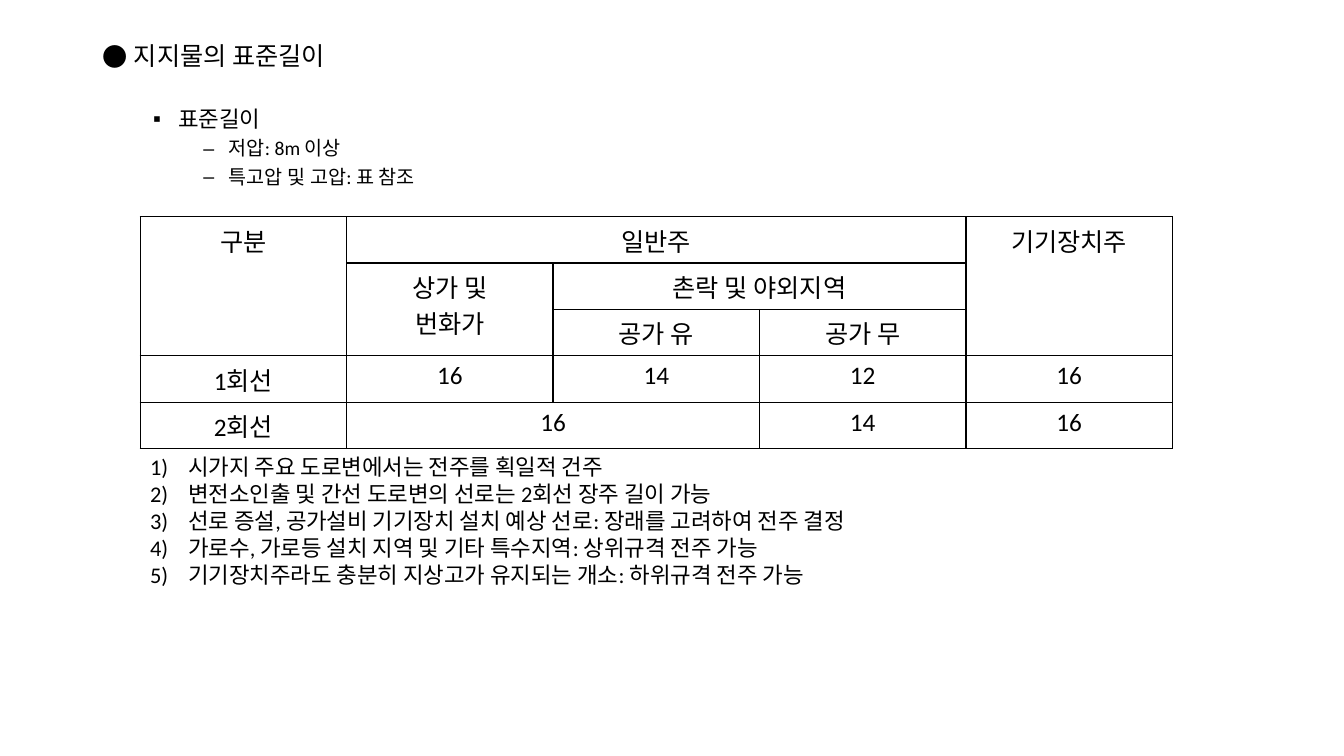
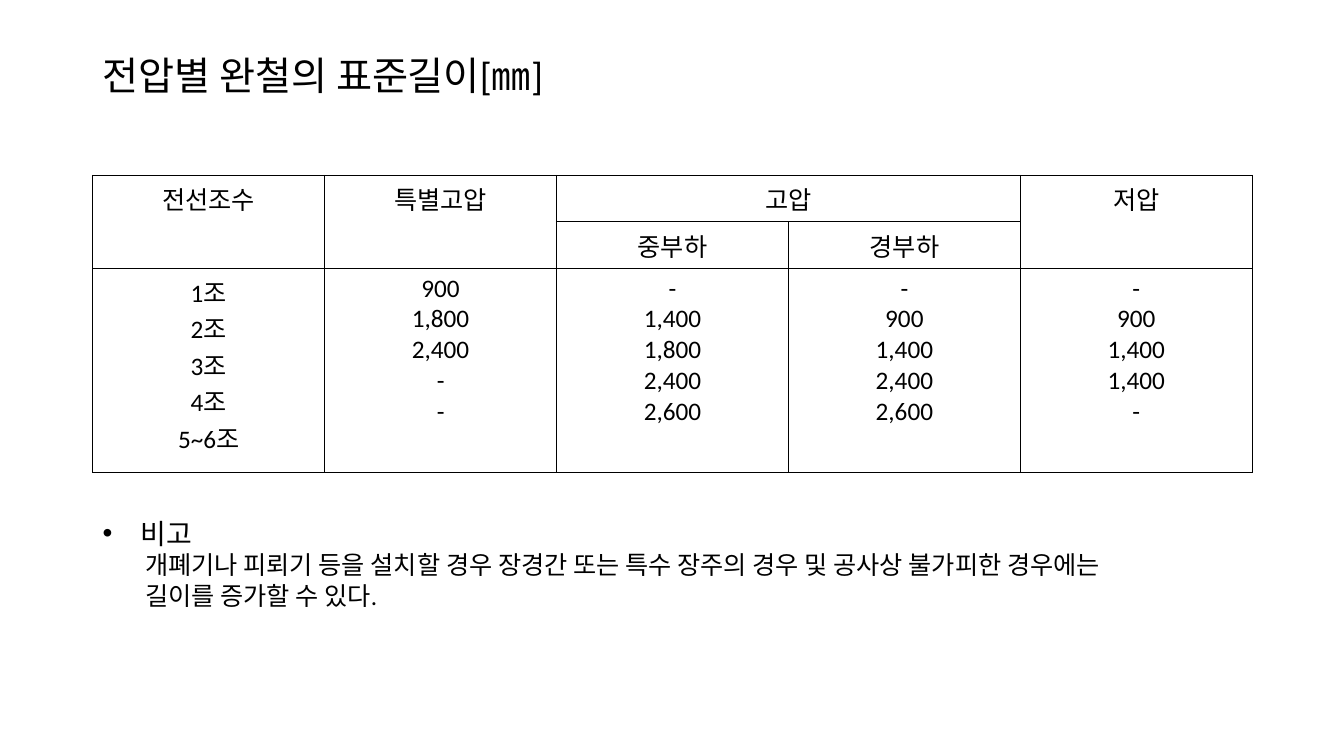
from lxml import etree
from pptx import Presentation
from pptx.dml.color import RGBColor
from pptx.enum import text
from pptx.oxml import ns
from pptx.util import Inches, Pt

COLORS = {"ink": "000000", "border": "000000"}
LATIN, KOREAN = "Calibri", "Noto Sans CJK KR"
LEFT, CONTENT_WIDTH = 0.92, 11.5
HEADER_ROW = 0.46

STYLES = {
    "title": {"size": 28, "line_spacing": 0.9},
    "heading": {"size": 18, "left": 0.31, "hang": 0.31, "bullet": "●",
                "bullet_font": KOREAN},
    "topic": {"size": 16, "left": 0.75, "hang": 0.25, "bullet": "▪",
              "bullet_font": "Arial", "line_spacing": 0.9},
    "detail": {"size": 14, "left": 1.25, "hang": 0.25, "bullet": "–",
               "bullet_font": "Arial", "line_spacing": 0.9, "space_before": 5},
    "numbered": {"size": 16, "left": 0.38, "hang": 0.38, "number": "arabicParenR",
                 "bullet_font": KOREAN},
    "remark": {"size": 20, "left": 0.38, "hang": 0.38, "bullet": "•",
               "bullet_font": "Arial"},
    "remark_text": {"size": 18, "left": 0.42},
    "cell": {"size": 18, "east_asian": KOREAN, "align": text.PP_ALIGN.CENTER},
}


def add_child(parent, tag, **attributes):
    return etree.SubElement(parent, ns.qn(tag), attributes)


def format_paragraph(paragraph, style):
    properties = paragraph._p.get_or_add_pPr()
    if "left" in style:
        properties.set("marL", str(Inches(style["left"])))
        properties.set("indent", str(-Inches(style.get("hang", 0))))
    if "bullet_font" in style:
        add_child(properties, "a:buFont", typeface=style["bullet_font"])
    if "bullet" in style:
        add_child(properties, "a:buChar", char=style["bullet"])
    elif "number" in style:
        add_child(properties, "a:buAutoNum", type=style["number"])
    settings = {
        "alignment": style.get("align"),
        "line_spacing": style.get("line_spacing"),
        "space_before": Pt(style.get("space_before", 0)),
    }
    for name, value in settings.items():
        setattr(paragraph, name, value)


def write(frame, lines):
    for index, (style_name, words) in enumerate(lines):
        style = STYLES[style_name]
        paragraph = frame.paragraphs[0] if index == 0 else frame.add_paragraph()
        format_paragraph(paragraph, style)
        run = paragraph.add_run()
        run.text = words
        for name, value in {"name": LATIN, "size": Pt(style["size"])}.items():
            setattr(run.font, name, value)
        run.font.color.rgb = RGBColor.from_string(COLORS["ink"])
        add_child(run._r.get_or_add_rPr(), "a:ea",
                  typeface=style.get("east_asian", LATIN))


def add_text(slide, box, lines, anchor=text.MSO_ANCHOR.TOP):
    frame = slide.shapes.add_textbox(*map(Inches, box)).text_frame
    frame.word_wrap = True
    frame.vertical_anchor = anchor
    write(frame, lines)


def outline_cell(cell):
    properties = cell._tc.get_or_add_tcPr()
    for side in ("a:lnL", "a:lnR", "a:lnT", "a:lnB"):
        line = add_child(properties, side, w=str(Pt(1)))
        add_child(add_child(line, "a:solidFill"), "a:srgbClr", val=COLORS["border"])
    cell.fill.background()


def add_grid(slide, box, row_heights, rows, spans):
    column_count = len(rows[0])
    table = slide.shapes.add_table(len(rows), column_count, *map(Inches, box)).table
    for flag in ("first_row", "horz_banding"):
        setattr(table, flag, False)
    for column in table.columns:
        column.width = Inches(box[2] / column_count)
    for row, height in zip(table.rows, row_heights):
        row.height = Inches(height)
    for r, values in enumerate(rows):
        for c, value in enumerate(values):
            cell = table.cell(r, c)
            outline_cell(cell)
            if value:
                write(cell.text_frame, [("cell", part) for part in value.split("\n")])
    for (top, left), (bottom, right) in spans:
        table.cell(top, left).merge(table.cell(bottom, right))


def build_pole_lengths(slide):
    table_left, table_width = 1.39, 10.24
    add_text(slide, (LEFT, 1.02, CONTENT_WIDTH, 1.05), [
        ("topic", "표준길이"),
        ("detail", "저압: 8m 이상"),
        ("detail", "특고압 및 고압: 표 참조"),
    ])
    rows = [
        ["구분", "일반주", "", "", "기기장치주"],
        ["", "상가 및\n번화가", "촌락 및 야외지역", "", ""],
        ["", "", "공가 유", "공가 무", ""],
        ["1회선", "16", "14", "12", "16"],
        ["2회선", "16", "", "14", "16"],
    ]
    spans = [((0, 0), (2, 0)), ((0, 1), (0, 3)), ((0, 4), (2, 4)),
             ((1, 1), (2, 1)), ((1, 2), (1, 3)), ((4, 1), (4, 2))]
    heights = [HEADER_ROW] * len(rows)
    add_grid(slide, (table_left, 2.15, table_width, sum(heights)), heights, rows, spans)
    notes = [
        "시가지 주요 도로변에서는 전주를 획일적 건주",
        "변전소인출 및 간선 도로변의 선로는 2회선 장주 길이 가능",
        "선로 증설, 공가설비 기기장치 설치 예상 선로: 장래를 고려하여 전주 결정",
        "가로수, 가로등 설치 지역 및 기타 특수지역: 상위규격 전주 가능",
        "기기장치주라도 충분히 지상고가 유지되는 개소: 하위규격 전주 가능",
    ]
    add_text(slide, (table_left, 4.45, table_width, 1.45),
             [("numbered", note) for note in notes])
    add_text(slide, (LEFT, 0.35, 2.62, 0.4), [("heading", "지지물의 표준길이")])


def build_crossarm_lengths(slide):
    add_text(slide, (LEFT, 0.4, CONTENT_WIDTH, 0.74),
             [("title", "전압별 완철의 표준길이[㎜]")], text.MSO_ANCHOR.MIDDLE)
    rows = [
        ["전선조수", "특별고압", "고압", "", "저압"],
        ["", "", "중부하", "경부하", ""],
        ["1조\n2조\n3조\n4조\n5~6조", "900\n1,800\n2,400\n-\n-",
         "-\n1,400\n1,800\n2,400\n2,600", "-\n900\n1,400\n2,400\n2,600",
         "-\n900\n1,400\n1,400\n-"],
    ]
    spans = [((0, 0), (1, 0)), ((0, 1), (1, 1)), ((0, 2), (0, 3)), ((0, 4), (1, 4))]
    heights = [HEADER_ROW, HEADER_ROW, 2.03]
    add_grid(slide, (LEFT, 1.74, CONTENT_WIDTH, sum(heights)), heights, rows, spans)
    add_text(slide, (LEFT, 5.07, 11.01, 1.04), [
        ("remark", "비고"),
        ("remark_text", "개폐기나 피뢰기 등을 설치할 경우 장경간 또는 특수 장주의 경우 및 "
                        "공사상 불가피한 경우에는"),
        ("remark_text", "길이를 증가할 수 있다."),
    ])


def main():
    deck = Presentation()
    deck.slide_width, deck.slide_height = Inches(13.33), Inches(7.5)
    for build in (build_pole_lengths, build_crossarm_lengths):
        build(deck.slides.add_slide(deck.slide_layouts[6]))
    deck.save("out.pptx")


if __name__ == "__main__":
    main()
